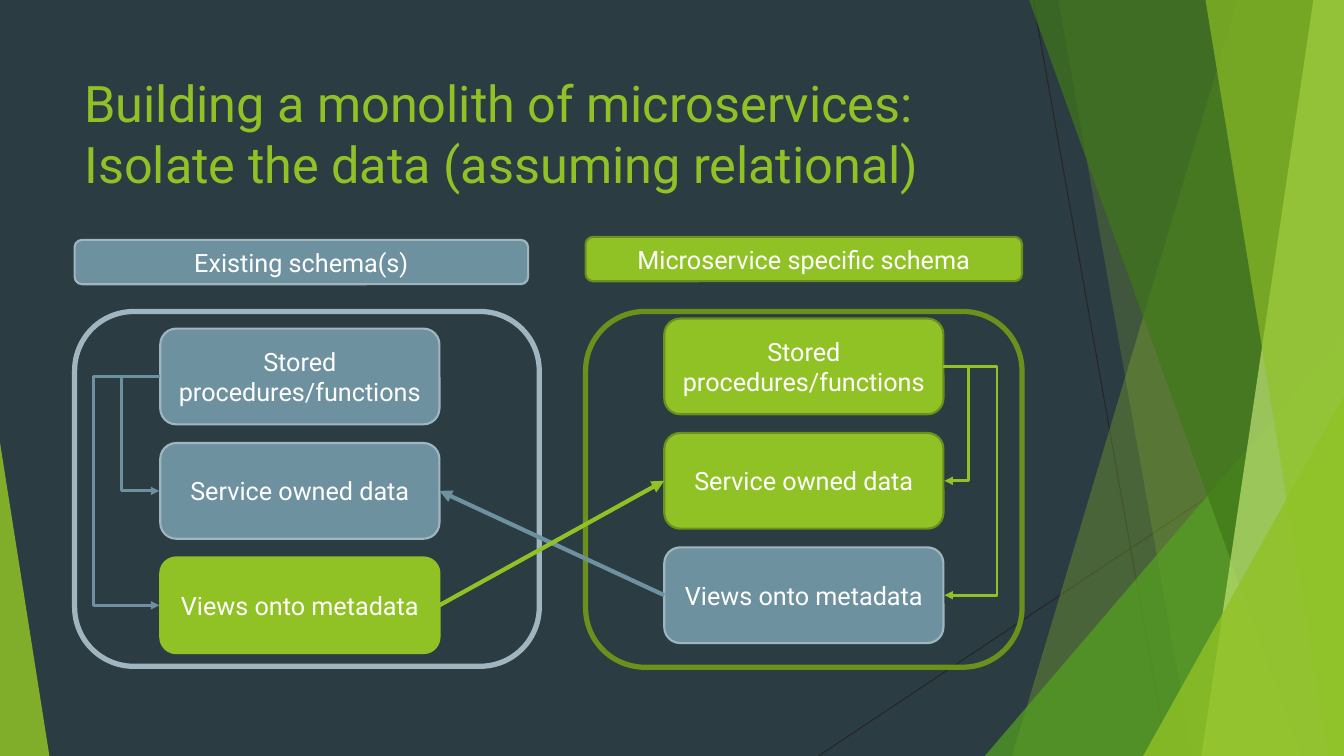
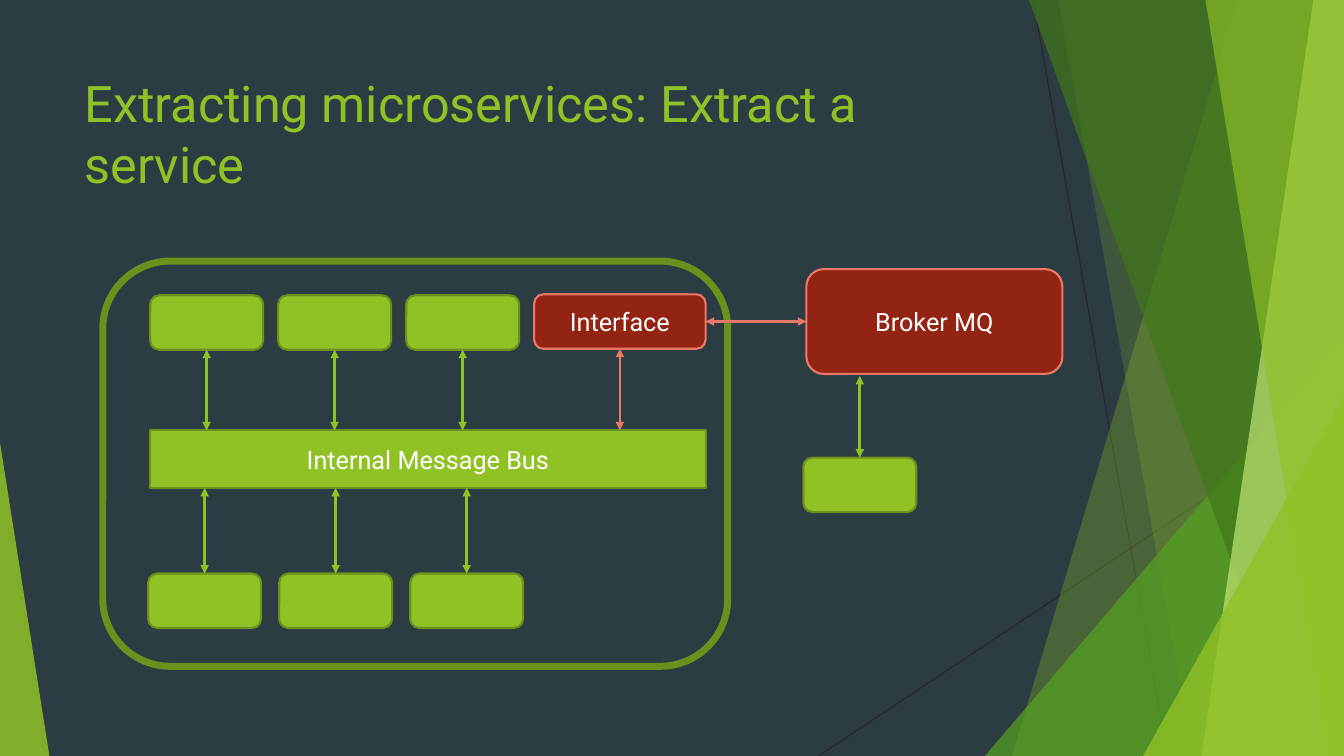
from lxml import etree
from pptx import Presentation
from pptx import util as u
from pptx.dml.color import RGBColor
from pptx.enum import shapes, text
from pptx.oxml.ns import qn

# Grid of square cells, twelve to the inch
COLS, ROWS = 160, 90
CELL = u.Inches(1 / 12)
FONT = "Roboto"
HUES = {
    "back": "2C3C43", "ink": "262626", "white": "FFFFFF",
    "lime": "90C226", "olive": "6B901C", "leaf": "54A021",
    "moss": "3F7819", "pale": "C0E474",
    "slate": "6E91A0", "mist": "9FB6C0",
    "brick": "932313", "coral": "EB7766",
}
# Fill and outline of each kind of box
NEW, OLD = ("lime", "olive"), ("slate", "mist")
PLAIN, RED = ("lime", "lime"), ("brick", "coral")
ROUND = shapes.MSO_SHAPE.ROUNDED_RECTANGLE
RECT = shapes.MSO_SHAPE.RECTANGLE


def hue(name):
    return RGBColor.from_string(HUES[name])


def grid(*cells):
    return [round(c * CELL) for c in cells]


def style(run, size, color):
    run.font.name = FONT
    run.font.size = u.Pt(size)
    run.font.color.rgb = hue(color)


# Background facets
def tint(shape, color, alpha):
    shape.shadow.inherit = False
    shape.line.fill.background()
    shape.fill.solid()
    shape.fill.fore_color.rgb = hue(color)
    node = next(shape.fill._xPr.iter(qn("a:srgbClr")))
    etree.SubElement(node, qn("a:alpha")).set("val", str(alpha * 1000))


def facet(slide, top, foot, color, alpha):
    """Fill from a slanted edge to the right side of the slide."""
    edge = [(COLS, 0), (COLS, ROWS), (foot, ROWS)]
    form = slide.shapes.build_freeform(*grid(top, 0), scale=1.0)
    form.add_line_segments([grid(*p) for p in edge], close=True)
    tint(form.convert_to_shape(), color, alpha)


def spike(slide, left, top, wide, apex, color, alpha):
    """Triangle standing on the bottom edge of the slide."""
    shape = slide.shapes.add_shape(
        shapes.MSO_SHAPE.ISOSCELES_TRIANGLE, *grid(left, top, wide, ROWS - top))
    shape.adjustments[0] = apex
    tint(shape, color, alpha)


# Lines and arrows
def link(slide, start, end, color, width=2, ends=("tail",), bend=None):
    kind = shapes.MSO_CONNECTOR
    line = slide.shapes.add_connector(
        kind.STRAIGHT if bend is None else kind.ELBOW, *grid(*start, *end))
    line.line.color.rgb = hue(color)
    line.line.width = u.Pt(width)
    props = line._element.spPr
    for end_name in ends:
        etree.SubElement(props.find(qn("a:ln")),
                         qn(f"a:{end_name}End")).set("type", "triangle")
    if bend is not None:
        guide = etree.SubElement(next(props.iter(qn("a:avLst"))), qn("a:gd"))
        guide.set("name", "adj1")
        guide.set("fmla", f"val {round(bend * 100000)}")
    etree.SubElement(props, qn("a:effectLst"))


def hook(slide, side, start, end, via, color):
    """Arrow that leaves a side, turns at column via and comes back."""
    step = 0.12 if via > side else -0.12
    link(slide, (side, start), (side + step, end), color,
         bend=(via - side) / step)


def both(slide, start, end, color="lime"):
    link(slide, start, end, color, ends=("head", "tail"))


# Boxes
def box(slide, area, look, words="", kind=ROUND, width=1.5):
    fill, edge = look
    shape = slide.shapes.add_shape(kind, *grid(*area))
    shape.shadow.inherit = False
    shape.line.color.rgb = hue(edge)
    shape.line.width = u.Pt(width)
    if fill:
        shape.fill.solid()
        shape.fill.fore_color.rgb = hue(fill)
    else:
        shape.fill.background()
    if words:
        frame = shape.text_frame
        frame.text = words
        frame.word_wrap = True
        frame.vertical_anchor = text.MSO_ANCHOR.MIDDLE
        para = frame.paragraphs[0]
        para.alignment = text.PP_ALIGN.CENTER
        style(para.runs[0], 18, "white")


# What both slides share
def base(deck, title):
    slide = deck.slides.add_slide(deck.slide_layouts[6])
    slide.background.fill.solid()
    slide.background.fill.fore_color.rgb = hue("back")
    link(slide, (123, 0), (139, ROWS), "ink", 0.75, ())
    link(slide, (COLS, 48.36), (97.44, ROWS), "ink", 0.75, ())
    facet(slide, 147.36, 120.48, "lime", 30)
    facet(slide, 126, 141.96, "lime", 20)
    spike(slide, 117.24, 40, 42.76, 1, "leaf", 72)
    facet(slide, 122.52, 154.92, "moss", 70)
    facet(slide, 156.36, 143.04, "pale", 70)
    facet(slide, 143.52, 158.16, "lime", 65)
    spike(slide, 136.08, 47.16, 23.92, 1, "lime", 80)
    spike(slide, 0, 52.68, 5.88, 0, "lime", 85)
    frame = slide.shapes.add_textbox(*grid(8.88, 8.04, 112.8, 17.28)).text_frame
    frame.word_wrap = True
    frame.text = title
    style(frame.paragraphs[0].runs[0], 36, "lime")
    return slide


def schemas(deck):
    slide = base(deck, "Building a monolith of microservices: "
                       "Isolate the data (assuming relational)")
    # Schema headings and frames
    box(slide, (8.88, 37.08, 55.32, 42.24), (None, "mist"), width=3.75)
    box(slide, (8.88, 28.56, 54, 5.28), OLD, "Existing schema(s)")
    box(slide, (69.72, 28.2, 51.96, 5.28), NEW, "Microservice specific schema")
    box(slide, (69.72, 37.08, 51.96, 42.36), (None, "olive"), width=3.75)

    # Three parts in each schema
    wide, high, pitch = 33.24, 11.4, 13.62
    parts = ("Stored procedures/functions", "Service owned data",
             "Views onto metadata")
    old, new = 19.08, 79.08
    mids = {}
    for left, top, looks in ((old, 39.12, (OLD, OLD, PLAIN)),
                             (new, 37.92, (NEW, NEW, OLD))):
        tops = [top + pitch * row for row in range(3)]
        mids[left] = [y + high / 2 for y in tops]
        for y, look, words in zip(tops, looks, parts):
            box(slide, (left, y, wide, high), look, words)

    # Calls within a schema, then views across
    for left, side, color, turns in ((new, new + wide, "lime", (115.32, 118.8)),
                                     (old, old, "slate", (14.4, 11.04))):
        first, *rest = mids[left]
        for mid, via in zip(rest, turns):
            hook(slide, side, first, mid, via, color)
    link(slide, (new, mids[new][2]), (old + wide, mids[old][1]), "slate", 3)
    link(slide, (old + wide, mids[old][2]), (new, mids[new][1]), "lime", 3)


def extract(deck):
    slide = base(deck, "Extracting microservices: Extract a service")
    wide, high = 13.44, 6.48
    bus, foot = 51.24, 58.08
    box(slide, (12.24, 31.08, 74.4, 48.24), (None, "olive"), width=5)
    box(slide, (96, 32.04, 30.48, 12.48), RED, "Broker MQ")
    box(slide, (17.88, bus, 66.12, foot - bus), NEW, "Internal Message Bus", RECT)
    box(slide, (63.6, 35.04, 20.4, high), RED, "Interface")

    # Services above and below the bus
    upper, lower = 35.16, 68.28
    for col in range(3):
        left = 17.88 + 15.24 * col
        mid = left + wide / 2
        box(slide, (left, upper, wide, high), NEW)
        both(slide, (mid, upper + high), (mid, bus))
        left = 17.64 + 15.6 * col
        mid = left + wide / 2
        box(slide, (left, lower, wide, high), NEW)
        both(slide, (mid, foot), (mid, lower))

    # Extracted service and its route
    box(slide, (95.64, 54.48, wide, high), NEW)
    both(slide, (102.36, 44.76), (102.36, 54.48))
    both(slide, (73.8, 41.52), (73.8, bus), "coral")
    both(slide, (84, 38.28), (96, 38.28), "coral")


def main():
    deck = Presentation()
    deck.slide_width, deck.slide_height = grid(COLS, ROWS)
    schemas(deck)
    extract(deck)
    deck.save("out.pptx")


main()
